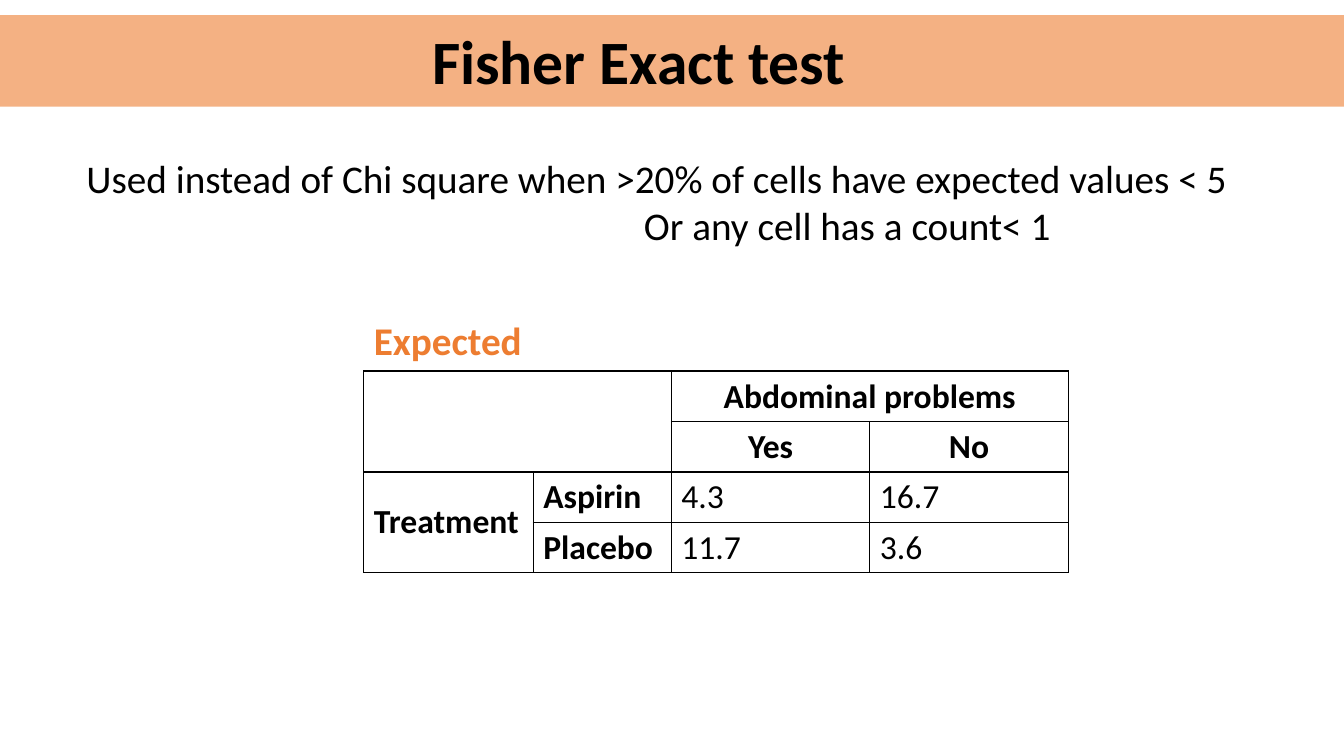
from pptx import Presentation
from pptx.dml.color import RGBColor
from pptx.enum.shapes import MSO_SHAPE as SHAPE
from pptx.enum.text import MSO_ANCHOR as ANCHOR, PP_ALIGN as ALIGN
from pptx.oxml import parse_xml
from pptx.oxml.ns import nsdecls
from pptx.util import Cm, Pt

BLACK, PEACH, ORANGE = "000000", "F4B183", "ED7D31"


def rgb(value):
    """Turn a hex string into a colour."""
    return RGBColor.from_string(value)


class Deck:
    """Holds the style and the current slide."""

    font = "Calibri"

    def __init__(self, prs):
        """Add a blank slide to the presentation."""
        self.s = prs.slides.add_slide(prs.slide_layouts[6])

    def style(self, p, size, bold=False, color=BLACK, align=ALIGN.LEFT):
        """Format a paragraph and its runs."""
        p.alignment = align
        for r in p.runs:
            r.font.name, r.font.size, r.font.bold = self.font, Pt(size), bold
            r.font.color.rgb = rgb(color)

    def band(self, x, y, w, h, color):
        """Draw a plain filled rectangle."""
        sp = self.s.shapes.add_shape(SHAPE.RECTANGLE, Cm(x), Cm(y), Cm(w), Cm(h))
        sp.shadow.inherit = False
        sp.fill.solid()
        sp.fill.fore_color.rgb = rgb(color)
        sp.line.fill.background()

    def text(self, x, y, w, h, text, size, anchor=ANCHOR.TOP, **style):
        """Add a wrapped text box and return its paragraphs."""
        tf = self.s.shapes.add_textbox(Cm(x), Cm(y), Cm(w), Cm(h)).text_frame
        tf.word_wrap = True
        tf.vertical_anchor = anchor
        tf.text = text
        for p in tf.paragraphs:
            self.style(p, size, **style)
        return tf.paragraphs

    def border(self, cell):
        """Give a cell thin black lines on all sides."""
        for side in "LRTB":
            cell._tc.get_or_add_tcPr().append(parse_xml(
                f'<a:ln{side} w="12700" {nsdecls("a")}><a:solidFill>'
                f'<a:srgbClr val="{BLACK}"/></a:solidFill></a:ln{side}>'))

    def table(self, x, y, widths, row_height, rows, merges, size):
        """Add a bordered table with bold headings and plain values."""
        frame = self.s.shapes.add_table(
            len(rows), len(widths), Cm(x), Cm(y),
            Cm(sum(widths)), Cm(row_height * len(rows)))
        table = frame.table
        table.first_row = table.horz_banding = False
        for column, width in zip(table.columns, widths):
            column.width = Cm(width)
        for i, row in enumerate(rows):
            table.rows[i].height = Cm(row_height)
            for j, text in enumerate(row):
                cell = table.cell(i, j)
                cell.text = text
                self.border(cell)
                cell.fill.background()
                self.style(cell.text_frame.paragraphs[0], size,
                           bold=i < 2 or j < 2,
                           align=ALIGN.CENTER if i < 2 else ALIGN.LEFT)
        for first, last in merges:
            table.cell(*first).merge(table.cell(*last))
        return table


prs = Presentation()
prs.slide_width, prs.slide_height = Cm(33.87), Cm(19.05)
deck = Deck(prs)

deck.band(0, 0.38, 33.87, 2.31, PEACH)
title = deck.text(6.58, 0.53, 19.05, 2.18, "Fisher Exact test", 44,
                  anchor=ANCHOR.MIDDLE, bold=True, align=ALIGN.CENTER)
title[0].line_spacing = 0.9

rules = deck.text(
    1.93, 3.76, 31.29, 2.64,
    "Used instead of Chi square when >20% of cells have expected values < 5\n"
    "Or any cell has a count< 1", 28)
rules[1]._p.get_or_add_pPr().set("marL", str(Cm(14.05)))

expected = deck.table(
    9.17, 9.35, [4.27, 3.48, 5, 5], 1.27,
    [["", "", "Abdominal problems", ""],
     ["", "", "Yes", "No"],
     ["Treatment", "Aspirin", "4.3", "16.7"],
     ["", "Placebo", "11.7", "3.6"]],
    [((0, 0), (1, 1)), ((0, 2), (0, 3)), ((2, 0), (3, 0))], 24)
expected.cell(2, 0).vertical_anchor = ANCHOR.MIDDLE
deck.text(9.17, 7.85, 5.36, 1.45, "Expected", 28, bold=True, color=ORANGE)

prs.save("out.pptx")
